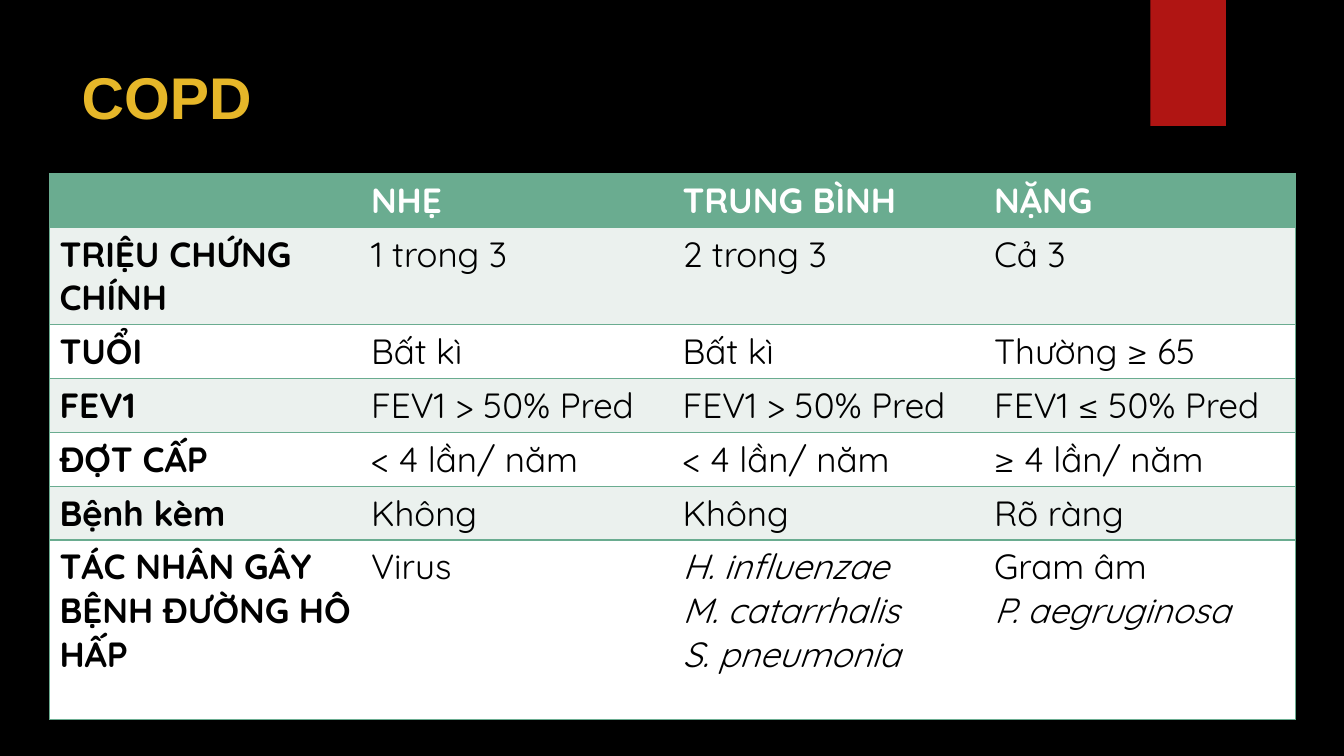
from dataclasses import dataclass

from pptx import Presentation
from pptx.dml.color import RGBColor
from pptx.enum.shapes import MSO_SHAPE
from pptx.enum.text import MSO_ANCHOR, PP_ALIGN
from pptx.oxml.ns import qn
from pptx.slide import Slide
from pptx.table import _Cell
from pptx.util import Inches, Pt
from lxml.etree import SubElement

BLACK = RGBColor(0x00, 0x00, 0x00)
WHITE = RGBColor(0xFF, 0xFF, 0xFF)
GOLD = RGBColor(0xE6, 0xB7, 0x29)
RED = RGBColor(0xB0, 0x15, 0x13)
GREEN = RGBColor(0x6A, 0xAC, 0x90)
PALE_GREEN = RGBColor(0xEB, 0xF1, 0xEE)

TITLE_FORMAT = {"name": "Arial", "size": Pt(42), "bold": True}
TABLE_FORMAT = {"name": "Quicksand", "size": Pt(25)}
SPECIES = {"H. influenzae", "M. catarrhalis", "S. pneumonia", "P. aegruginosa"}


@dataclass(frozen=True)
class SeverityRow:
    label: str
    mild: str
    moderate: str
    severe: str
    height: float = 0.53

    def texts(self) -> list[str]:
        return [self.label, self.mild, self.moderate, self.severe]


ROWS = [
    SeverityRow("", "NHẸ", "TRUNG BÌNH", "NẶNG"),
    SeverityRow("TRIỆU CHỨNG CHÍNH", "1 trong 3", "2 trong 3", "Cả 3", 0.96),
    SeverityRow("TUỔI", "Bất kì", "Bất kì", "Thường ≥ 65"),
    SeverityRow("FEV1", "FEV1 > 50% Pred", "FEV1 > 50% Pred", "FEV1 ≤ 50% Pred"),
    SeverityRow("ĐỢT CẤP", "< 4 lần/ năm", "< 4 lần/ năm", "≥ 4 lần/ năm"),
    SeverityRow("Bệnh kèm", "Không", "Không", "Rõ ràng"),
    SeverityRow("TÁC NHÂN GÂY BỆNH ĐƯỜNG HÔ HẤP", "Virus",
                "H. influenzae\nM. catarrhalis\nS. pneumonia",
                "Gram âm\nP. aegruginosa", 1.78),
]


def format_font(font, values: dict, color: RGBColor) -> None:
    for name, value in values.items():
        setattr(font, name, value)
    font.color.rgb = color


def set_borders(cell: _Cell, visible: dict[str, bool]) -> None:
    properties = cell._tc.get_or_add_tcPr()
    for side, shown in visible.items():
        line = SubElement(properties, qn(f"a:{side}"), w=str(Pt(1)))
        if shown:
            fill = SubElement(line, qn("a:solidFill"))
            SubElement(fill, qn("a:srgbClr"), val=str(GREEN))
        else:
            SubElement(line, qn("a:noFill"))


def add_title(slide: Slide) -> None:
    title = slide.shapes.title
    title.left, title.top = Inches(0.71), Inches(0.5)
    title.width, title.height = Inches(10.29), Inches(1.53)
    frame = title.text_frame
    frame.text = "COPD"
    frame.vertical_anchor = MSO_ANCHOR.TOP
    frame.margin_top = Inches(0.1)
    paragraph = frame.paragraphs[0]
    paragraph.alignment = PP_ALIGN.LEFT
    format_font(paragraph.runs[0].font, TITLE_FORMAT, GOLD)


def add_ribbon(slide: Slide) -> None:
    ribbon = slide.shapes.add_shape(MSO_SHAPE.RECTANGLE, Inches(11.41), 0,
                                    Inches(0.75), Inches(1.25))
    ribbon.shadow.inherit = False
    ribbon.fill.solid()
    ribbon.fill.fore_color.rgb = RED
    ribbon.line.fill.background()


def add_severity_table(slide: Slide) -> None:
    column_count = len(ROWS[0].texts())
    height = sum(row.height for row in ROWS)
    table = slide.shapes.add_table(len(ROWS), column_count, Inches(0.49), Inches(1.72),
                                   Inches(12.36), Inches(height)).table
    for row_index, row in enumerate(ROWS):
        table.rows[row_index].height = Inches(row.height)
        is_header = row_index == 0
        fill_color = GREEN if is_header else PALE_GREEN if row_index % 2 else WHITE
        for column_index, text in enumerate(row.texts()):
            cell = table.cell(row_index, column_index)
            set_borders(cell, {"lnL": column_index == 0,
                               "lnR": column_index == column_count - 1,
                               "lnT": True, "lnB": True})
            cell.fill.solid()
            cell.fill.fore_color.rgb = fill_color
            cell.text = text
            for paragraph in cell.text_frame.paragraphs:
                values = TABLE_FORMAT | {"bold": is_header or column_index == 0,
                                         "italic": paragraph.text in SPECIES}
                color = WHITE if is_header else BLACK
                format_font(paragraph.font, values, color)
                for run in paragraph.runs:
                    format_font(run.font, values, color)


def main() -> None:
    presentation = Presentation()
    presentation.slide_width = Inches(13.33)
    presentation.slide_height = Inches(7.5)
    slide = presentation.slides.add_slide(presentation.slide_layouts[5])

    # Background
    slide.background.fill.solid()
    slide.background.fill.fore_color.rgb = BLACK

    # Header and content
    add_ribbon(slide)
    add_title(slide)
    add_severity_table(slide)

    presentation.save("out.pptx")


if __name__ == "__main__":
    main()
